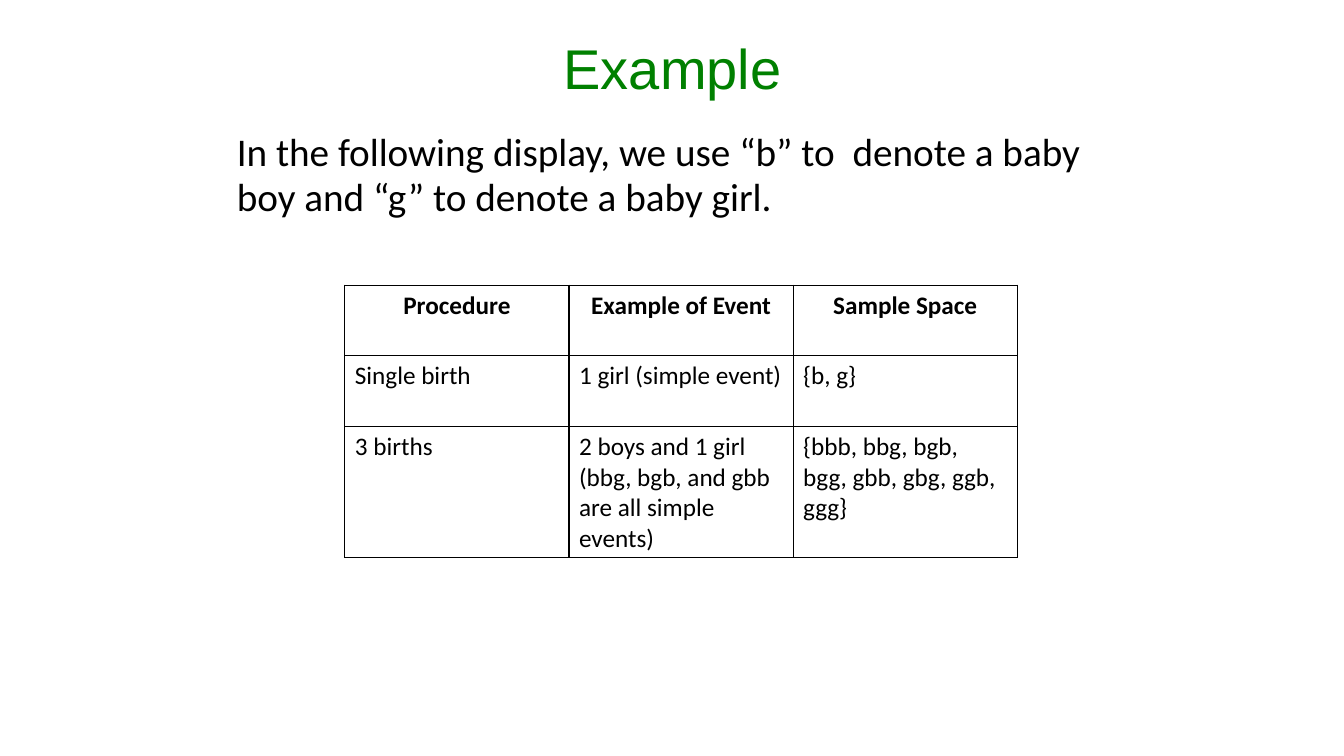
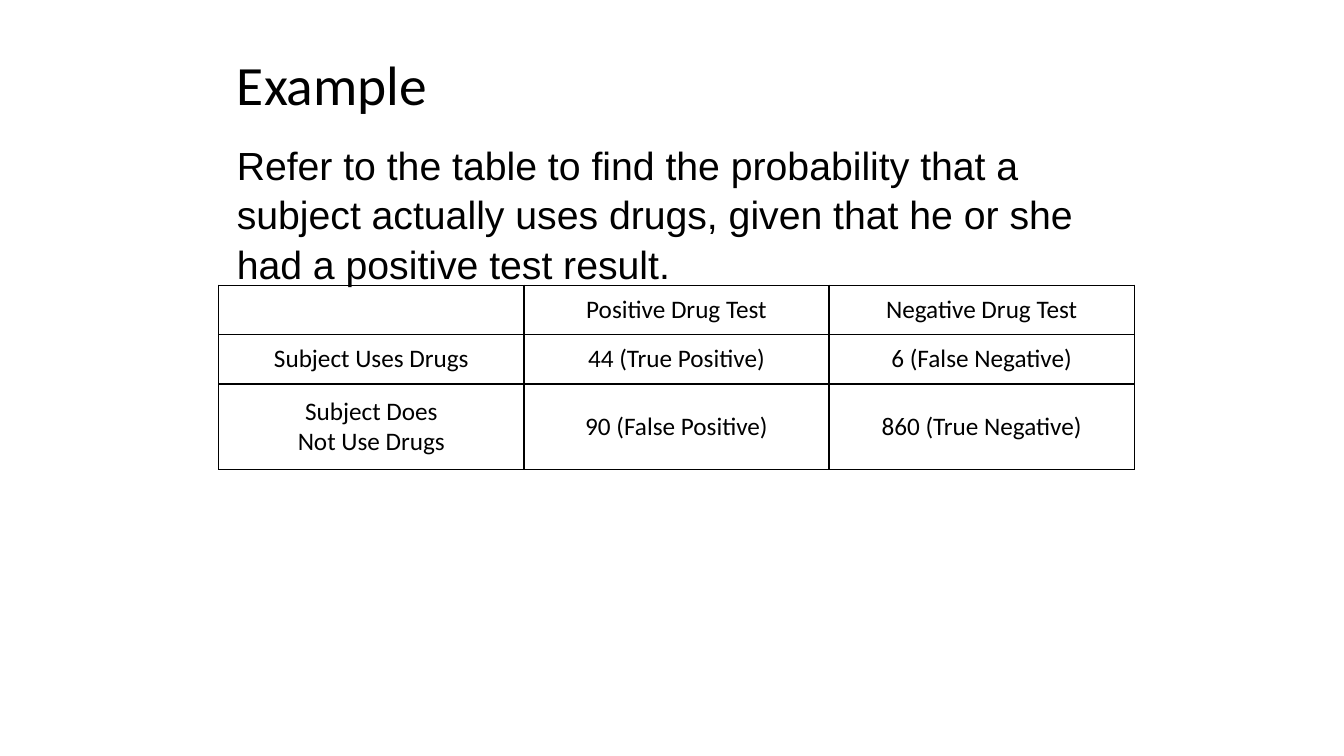
import dataclasses

import lxml.etree
import pptx
import pptx.dml.color
import pptx.enum.text
import pptx.oxml.ns
import pptx.util

Inches = pptx.util.Inches
Pt = pptx.util.Pt
ALIGN = pptx.enum.text.PP_ALIGN
ANCHOR = pptx.enum.text.MSO_ANCHOR


@dataclasses.dataclass(frozen=True)
class Theme:
    ink: str = "000000"
    green: str = "008000"
    sans: str = "Calibri"
    plain: str = "Arial"
    head: float = 40
    body: float = 28
    cell: float = 18
    rule: float = 1


THEME = Theme()


def write(frame, text, size=THEME.body, font=THEME.sans, color=THEME.ink,
          bold=False, align=ALIGN.LEFT, anchor=ANCHOR.TOP, lead=1.0):
    """Fill a text frame, one paragraph per line of text."""
    frame.word_wrap = True
    frame.vertical_anchor = anchor
    for i, line in enumerate(text.split("\n")):
        para = frame.paragraphs[0] if i == 0 else frame.add_paragraph()
        para.alignment = align
        para.line_spacing = lead
        para.space_before = Pt(0)
        para.font.size = Pt(size)
        para.font.name = font
        para.font.bold = bold
        para.font.color.rgb = pptx.dml.color.RGBColor.from_string(color)
        para.add_run().text = line


def add_title(slide, box, text, **style):
    title = slide.shapes.title
    title.left, title.top, title.width, title.height = map(Inches, box)
    title.text_frame.auto_size = pptx.enum.text.MSO_AUTO_SIZE.NONE
    write(title.text_frame, text, **{"size": THEME.head, **style})


def add_body(slide, box, text, **style):
    shape = slide.shapes.add_textbox(*map(Inches, box))
    write(shape.text_frame, text, **style)


def edge(cell):
    """Rule all four sides of a cell."""
    name = pptx.oxml.ns.qn
    props = cell._tc.get_or_add_tcPr()
    for side in ("a:lnL", "a:lnR", "a:lnT", "a:lnB"):
        line = lxml.etree.SubElement(props, name(side), w=str(Pt(THEME.rule)))
        fill = lxml.etree.SubElement(line, name("a:solidFill"))
        lxml.etree.SubElement(fill, name("a:srgbClr"), val=THEME.ink)


def add_grid(slide, left, top, width, highs, rows, style):
    """Add a ruled table; style(row) gives the text format of a row."""
    cols = len(rows[0])
    frame = slide.shapes.add_table(len(rows), cols, Inches(left), Inches(top),
                                   Inches(width), Inches(sum(highs)))
    table = frame.table
    table.first_row = table.horz_banding = False
    for col in table.columns:
        col.width = Inches(width / cols)
    for r, (high, row) in enumerate(zip(highs, rows)):
        table.rows[r].height = Inches(high)
        for c, text in enumerate(row):
            cell = table.cell(r, c)
            edge(cell)
            cell.fill.background()
            look = {"size": THEME.cell, **style(r)}
            cell.vertical_anchor = look.pop("anchor", ANCHOR.TOP)
            write_cell(cell, text, look)


def write_cell(cell, text, look):
    anchor = cell.vertical_anchor
    write(cell.text_frame, text, **look)
    cell.text_frame.vertical_anchor = None
    cell.text_frame.word_wrap = None
    cell.vertical_anchor = anchor


def build_births(slide):
    add_title(slide, (2.42, 0.28, 8.5, 0.77), "Example", font=THEME.plain,
              color=THEME.green, align=ALIGN.CENTER)
    add_body(slide, (2.25, 1.25, 8.92, 1.25),
             "In the following display, we use “b” to  denote a baby boy "
             "and “g” to denote a baby girl.", lead=0.95)
    rows = [
        ("Procedure", "Example of Event", "Sample Space"),
        ("Single birth", "1 girl (simple event)", "{b, g}"),
        ("3 births",
         "2 boys and 1 girl\n(bbg, bgb, and gbb are all simple events)",
         "{bbb, bbg, bgb, bgg, gbb, gbg, ggb, ggg}"),
    ]
    add_grid(slide, 3.42, 2.83, 6.67, (0.7, 0.7, 1.3), rows,
             lambda r: {"bold": True, "align": ALIGN.CENTER} if r == 0 else {})


def build_drugs(slide):
    add_title(slide, (2.25, 0.53, 7.57, 0.67), "Example", size=39.6,
              anchor=ANCHOR.MIDDLE, lead=0.9)
    add_body(slide, (2.25, 1.33, 8.92, 1.51),
             "Refer to the table to find the probability that a subject "
             "actually uses drugs, given that he or she had a positive "
             "test result.", font=THEME.plain, lead=1.05)
    rows = [
        ("", "Positive Drug Test", "Negative Drug Test"),
        ("Subject Uses Drugs", "44 (True Positive)", "6 (False Negative)"),
        ("Subject Does\nNot Use Drugs", "90 (False Positive)",
         "860 (True Negative)"),
    ]
    add_grid(slide, 2.17, 2.83, 9.08, (0.49, 0.49, 0.85), rows,
             lambda r: {"align": ALIGN.CENTER, "anchor": ANCHOR.MIDDLE})


def main():
    deck = pptx.Presentation()
    deck.slide_width = Inches(13.33)
    deck.slide_height = Inches(7.5)
    for build in (build_births, build_drugs):
        build(deck.slides.add_slide(deck.slide_layouts[5]))
    deck.save("out.pptx")


if __name__ == "__main__":
    main()
